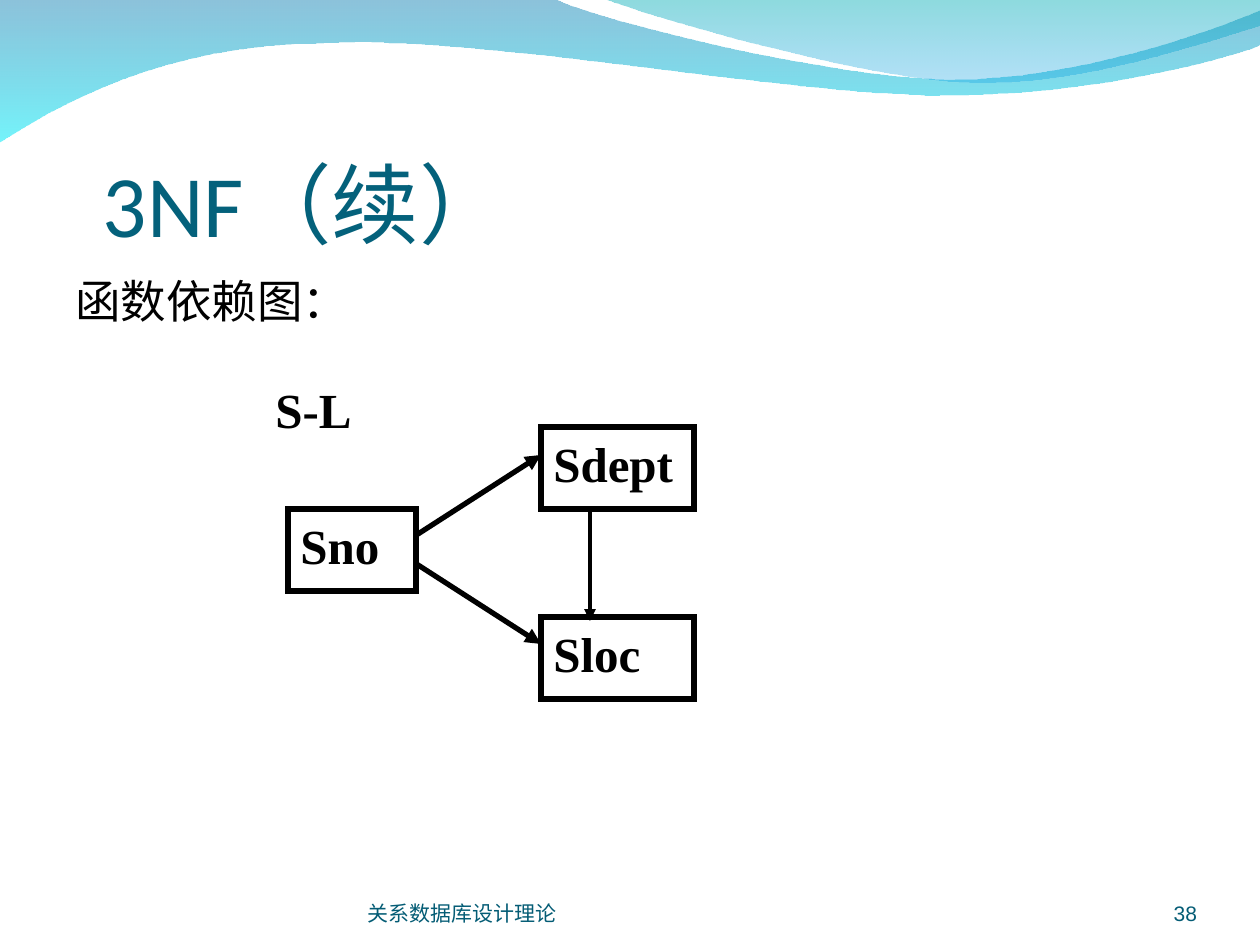
from lxml import etree
from pptx import Presentation
from pptx import util as u
from pptx.dml.color import RGBColor
from pptx.enum import shapes, text
from pptx.oxml.ns import qn

PX = 914400 // 126
INK, TITLE_INK, FOOTER_INK = "000000", "04617B", "045C75"

# Content: boxes are left, top, width, height in px
TITLE = ("3NF（续）", (63, 98, 1134, 157))
TEXTS = [
    ("函数依赖图：", (63, 267, 1134, 605),
     dict(size=26, font="Vollkorn", before=6.5)),
    ("S-L", (263, 373, 152, 82),
     dict(bold=True, align=text.PP_ALIGN.JUSTIFY)),
]
FOOTERS = [
    ("关系数据库设计理论", (368, 876, 462, 50), text.PP_ALIGN.LEFT),
    ("38", (1092, 876, 105, 50), text.PP_ALIGN.RIGHT),
]
ATTRIBUTES = [
    ("Sno", (288, 509, 128, 82)),
    ("Sdept", (541, 427, 153, 82)),
    ("Sloc", (541, 617, 153, 82)),
]
# Arrows: from, to, line width in points
DEPENDENCIES = [
    ((415, 536), (541, 455), 3),
    ((415, 563), (541, 644), 3),
    ((590, 512), (590, 621), 2.25),
]
# Waves: start, then parts of one point (corner) or three (Bezier segment)
WAVES = [
    ((0, -1),
     [[(554, -1)],
      [(600, 21), (837, 79), (955, 79)],
      [(1075, 79), (1207, 33), (1260, 11)],
      [(1261, 45)],
      [(1239, 55), (1096, 96), (940, 95)],
      [(784, 95), (481, 35), (324, 43)],
      [(163, 44), (58, 105), (-1, 142)]],
     [("0079AF", 45), ("00EBF8", 55)]),
    ((604, -1),
     [[(641, 14), (859, 78), (969, 82)],
      [(1079, 87), (1211, 40), (1260, 26)],
      [(1260, 0)]],
     [("00ADB6", 45), ("009BE5", 30)]),
]


def rgb(value):
    return RGBColor.from_string(value)


def emu(values):
    return [v * PX for v in values]


def write(frame, words, size=28, font="Times New Roman", color=INK, bold=False,
          align=text.PP_ALIGN.LEFT, anchor=text.MSO_ANCHOR.TOP, insets=None,
          before=0, spacing=None):
    frame.word_wrap = True
    frame.auto_size = text.MSO_AUTO_SIZE.NONE
    frame.vertical_anchor = anchor
    if insets:
        (frame.margin_left, frame.margin_top,
         frame.margin_right, frame.margin_bottom) = emu(insets)
    paragraph = frame.paragraphs[0]
    paragraph.alignment = align
    paragraph.space_before = u.Pt(before)
    if spacing:
        paragraph.line_spacing = spacing
    run = paragraph.add_run()
    run.text = words
    run.font.size, run.font.name, run.font.bold = u.Pt(size), font, bold
    run.font.color.rgb = rgb(color)


def bend(wave, parts):
    """Join each three straight segments of a Bezier part into one curve."""
    segments = iter(list(wave._element.iter(qn("a:lnTo"))))
    for part in parts:
        lines = [next(segments) for _ in part]
        if len(part) == 3:
            curve = etree.Element(qn("a:cubicBezTo"))
            lines[0].addprevious(curve)
            for line in lines:
                curve.append(line[0])
                line.getparent().remove(line)


def add_wave(slide, start, parts, stops):
    builder = slide.shapes.build_freeform(*start, scale=PX)
    builder.add_line_segments([point for part in parts for point in part], close=True)
    wave = builder.convert_to_shape()
    bend(wave, parts)
    wave.shadow.inherit = False
    wave.line.fill.background()
    wave.fill.gradient()
    wave.fill.gradient_angle = 270
    for stop, (color, _) in zip(wave.fill.gradient_stops, stops):
        stop.color.rgb = rgb(color)
    colors = wave._element.spPr.iter(qn("a:srgbClr"))
    for node, (_, opacity) in zip(colors, stops):
        etree.SubElement(node, qn("a:alpha")).set("val", str(opacity * 1000))


def draw_line(line, width, tag, **attributes):
    line.color.rgb = rgb(INK)
    line.width = u.Pt(width)
    detail = etree.SubElement(line._get_or_add_ln(), qn(tag))
    for key, value in attributes.items():
        detail.set(key, value)


def main():
    deck = Presentation()
    deck.slide_width, deck.slide_height = u.Inches(10), u.Inches(7.5)
    slide = deck.slides.add_slide(deck.slide_layouts[5])

    # Wave header
    for start, parts, stops in WAVES:
        add_wave(slide, start, parts, stops)

    # Title
    words, box = TITLE
    title = slide.shapes.title
    title.left, title.top, title.width, title.height = emu(box)
    write(title.text_frame, words, size=50, font="Calibri", color=TITLE_INK,
          anchor=text.MSO_ANCHOR.BOTTOM, insets=(40, 6, 0, 0))

    # Body line and relation name
    for words, box, style in TEXTS:
        write(slide.shapes.add_textbox(*emu(box)).text_frame, words, **style)

    # Dependency diagram
    for words, box in ATTRIBUTES:
        attribute = slide.shapes.add_shape(shapes.MSO_SHAPE.RECTANGLE, *emu(box))
        attribute.shadow.inherit = False
        attribute.fill.background()
        draw_line(attribute.line, 3, "a:miter", lim="800000")
        write(attribute.text_frame, words, bold=True, align=text.PP_ALIGN.JUSTIFY)
    for start, end, width in DEPENDENCIES:
        arrow = slide.shapes.add_connector(shapes.MSO_CONNECTOR.STRAIGHT,
                                           *emu(start + end))
        draw_line(arrow.line, width, "a:tailEnd", type="triangle")
        etree.SubElement(arrow._element.spPr, qn("a:effectLst"))

    # Footer and page number
    for words, box, align in FOOTERS:
        footer = slide.shapes.add_textbox(*emu(box))
        write(footer.text_frame, words, size=12, font="Arial", color=FOOTER_INK,
              align=align, anchor=text.MSO_ANCHOR.BOTTOM, insets=(0, 0, 0, 0),
              before=3, spacing=0.9)

    deck.save("out.pptx")


if __name__ == "__main__":
    main()
